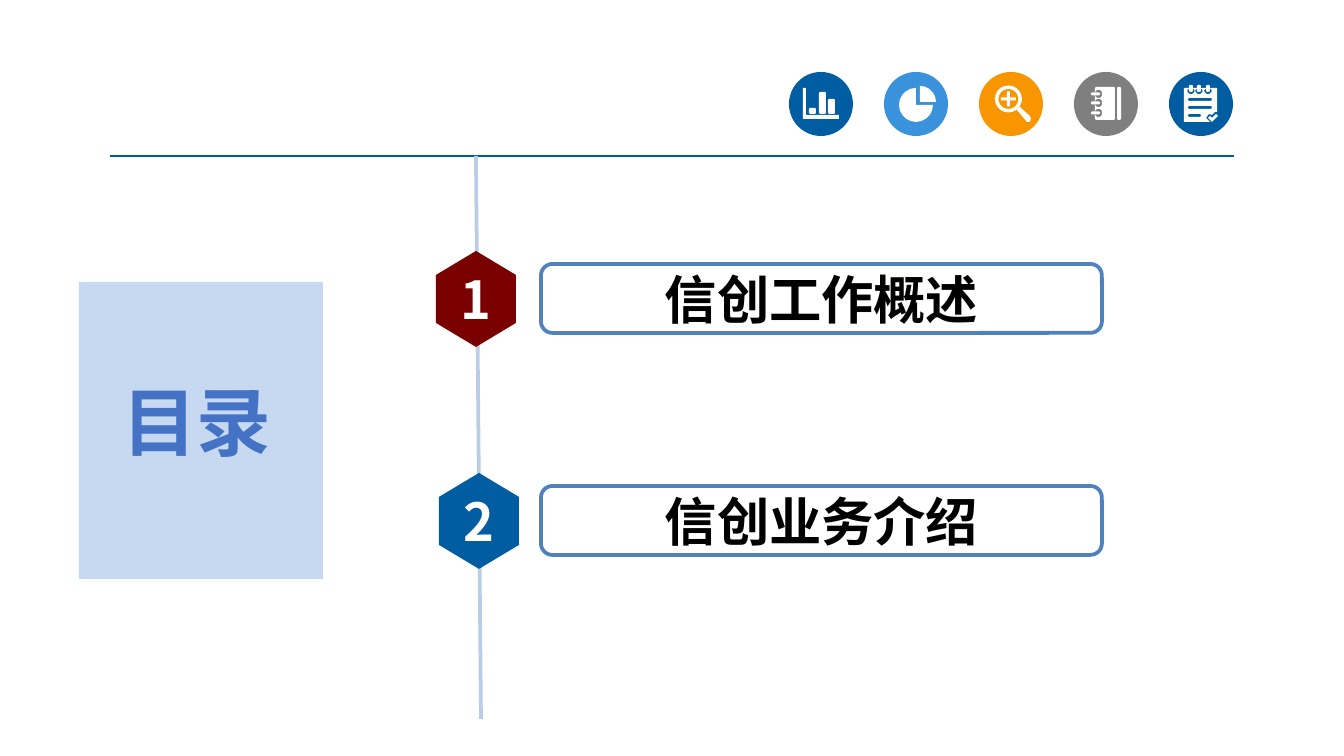
import math

import lxml.etree
import pptx
import pptx.dml.color
import pptx.enum.shapes
import pptx.enum.text
import pptx.oxml.ns
import pptx.util

PX = 914400 / 134.4  # EMU in one px
FONT = "Noto Sans CJK SC"
COLORS = {
    "navy": "005DA2", "sky": "3992DB", "orange": "F79600", "gray": "7F7F7F",
    "red": "7A0000", "white": "FFFFFF", "black": "000000", "panel": "C6D9F1",
    "title": "4472C4", "rule": "005B9E", "timeline": "B9CDE5", "border": "4F81BD",
}
SHAPE = pptx.enum.shapes.MSO_SHAPE


def px(*lengths):
    return [pptx.util.Emu(round(length * PX)) for length in lengths]


def rgb(name):
    return pptx.dml.color.RGBColor.from_string(COLORS[name])


def paint(shape, fill=None, line=None):
    shape.shadow.inherit = False
    if fill:
        shape.fill.solid()
        shape.fill.fore_color.rgb = rgb(fill)
    else:
        shape.fill.background()
    if line:
        shape.line.color.rgb = rgb(line)
        shape.line.width = pptx.util.Pt(2)
    else:
        shape.line.fill.background()


def write(shape, text, size, color):
    frame = shape.text_frame
    frame.text = text
    frame.word_wrap = True
    frame.auto_size = pptx.enum.text.MSO_AUTO_SIZE.NONE
    frame.vertical_anchor = pptx.enum.text.MSO_ANCHOR.MIDDLE
    frame.margin_left = frame.margin_right = frame.margin_top = frame.margin_bottom = 0
    paragraph = frame.paragraphs[0]
    paragraph.alignment = pptx.enum.text.PP_ALIGN.CENTER
    font = paragraph.font
    font.name, font.size, font.bold = FONT, pptx.util.Pt(size), True
    font.color.rgb = rgb(color)
    # East Asian glyphs take their own typeface
    properties = paragraph.runs[0].font._element
    lxml.etree.SubElement(properties, pptx.oxml.ns.qn("a:ea"), typeface=FONT)


def add_line(shapes, start, end, color, points):
    line = shapes.add_connector(
        pptx.enum.shapes.MSO_CONNECTOR.STRAIGHT, *px(*start, *end))
    line.line.color.rgb = rgb(color)
    line.line.width = pptx.util.Pt(points)
    lxml.etree.SubElement(line._element.spPr, pptx.oxml.ns.qn("a:effectLst"))


def add_outline(shapes, left, top, contours, fill):
    """One freeform; a contour inside another cuts a hole."""
    builder = None
    for contour in contours:
        points = [px(left + x, top + y) for x, y in contour]
        if builder is None:
            builder = shapes.build_freeform(*points[0], scale=1.0)
        else:
            builder.move_to(*points[0])
        builder.add_line_segments(points[1:], close=True)
    shape = builder.convert_to_shape()
    paint(shape, fill)
    return shape


# Contours for the icons, in px from the corner of the disc
def arc(x, y, radius, start=0, end=360, step=18):
    return [(x + radius * math.cos(math.radians(angle)),
             y + radius * math.sin(math.radians(angle)))
            for angle in range(start, end + 1, step)]


def bar(left, top, right, bottom, cut=1):
    """A box with its corners cut off."""
    return [(left + cut, top), (right - cut, top), (right, top + cut),
            (right, bottom - cut), (right - cut, bottom), (left + cut, bottom),
            (left, bottom - cut), (left, top + cut)]


def bar_icon():
    axis = [(14, 16), (17, 16), (17, 43), (50, 43), (50, 47), (14, 47)]
    return [axis] + [bar(x, y, x + 7, 42) for x, y in ((20, 36), (30, 20), (39, 27))]


def pie_icon():
    return [[(36, 30)] + arc(36, 30, 16, 270, 360),
            [(32, 33)] + arc(32, 33, 17, 0, 270)]


def magnifier_icon():
    x, y, arm, half = 29.5, 27, 7.5, 1.5
    plus = [(x - half, y - arm), (x + half, y - arm), (x + half, y - half),
            (x + arm, y - half), (x + arm, y + half), (x + half, y + half),
            (x + half, y + arm), (x - half, y + arm), (x - half, y + half),
            (x - arm, y + half), (x - arm, y - half), (x - half, y - half)]
    handle = [(38, 38), (41, 35), (51, 44), (52, 47), (51, 50), (48, 50)]
    return [arc(x, y, 13.5), arc(x, y, 10), plus, handle]


def notebook_icon():
    contours = [bar(21, 15, 41, 48), bar(43, 15, 47, 48)]
    for y in (22, 31, 41):
        contours += [bar(21, y - 4, 28, y + 4, 2), bar(17, y - 1.5, 26, y + 1.5)]
    return contours


def notepad_icon():
    page = [(15, 16), (48, 16), (48, 40), (46, 40), (43, 43), (40, 42),
            (37, 46), (41, 50), (15, 50)]
    check = [(39, 46), (41, 44), (43, 46), (47, 42), (49, 44), (43, 50)]
    contours = [page, check]
    for right, y in ((43, 26), (43, 34), (32, 42)):
        contours.append(bar(19, y, right, y + 3))
    for x in (20, 28, 37):
        contours += [bar(x - 1.5, 16, x + 5.5, 22, 2), bar(x, 13, x + 4, 20)]
    return contours


def add_icon_strip(shapes, left, top, size, pitch):
    icons = [("navy", bar_icon), ("sky", pie_icon), ("orange", magnifier_icon),
             ("gray", notebook_icon), ("navy", notepad_icon)]
    for index, (color, icon) in enumerate(icons):
        x = left + index * pitch
        group = shapes.add_group_shape().shapes
        paint(group.add_shape(SHAPE.OVAL, *px(x, top, size, size)), color)
        add_outline(group, x, top, icon(), "white")


def add_title_panel(slide, left, top, width, height):
    panel = slide.shapes.add_shape(SHAPE.RECTANGLE, *px(left, top, width, height))
    paint(panel, "panel")
    title = slide.shapes.title
    title.left, title.top, title.width, title.height = px(
        left - 48, top + 102, width + 88, 73)
    write(title, "目录", 40, "title")
    title.element.addprevious(panel.element)  # panel lies behind the title


def add_agenda_row(shapes, left, top, label_left, number, text, color):
    width, height = 80, 96
    hexagon = [(width / 2, 0), (width, height / 4), (width, height * 3 / 4),
               (width / 2, height), (0, height * 3 / 4), (0, height / 4)]
    group = shapes.add_group_shape().shapes
    badge = add_outline(group, left, top, [hexagon], color)
    write(badge, number, 28, "white")
    label = group.add_shape(SHAPE.ROUNDED_RECTANGLE, *px(label_left, top + 13, 561, 69))
    paint(label, line="border")
    write(label, text, 28, "black")


def main():
    presentation = pptx.Presentation()
    presentation.slide_width, presentation.slide_height = px(1344, 756)
    slide = presentation.slides.add_slide(presentation.slide_layouts[5])
    shapes = slide.shapes

    add_title_panel(slide, 79, 282, 244, 297)

    # Header
    add_line(shapes, (110, 156), (1234, 156), "rule", 0.75)
    add_icon_strip(shapes, 789, 72, 64, 95)

    # Agenda along the timeline
    add_line(shapes, (476, 156), (481, 719), "timeline", 2)
    add_agenda_row(shapes, 436, 251, 541, "1", "信创工作概述", "red")
    add_agenda_row(shapes, 439, 473, 541, "2", "信创业务介绍", "navy")

    presentation.save("out.pptx")


if __name__ == "__main__":
    main()
